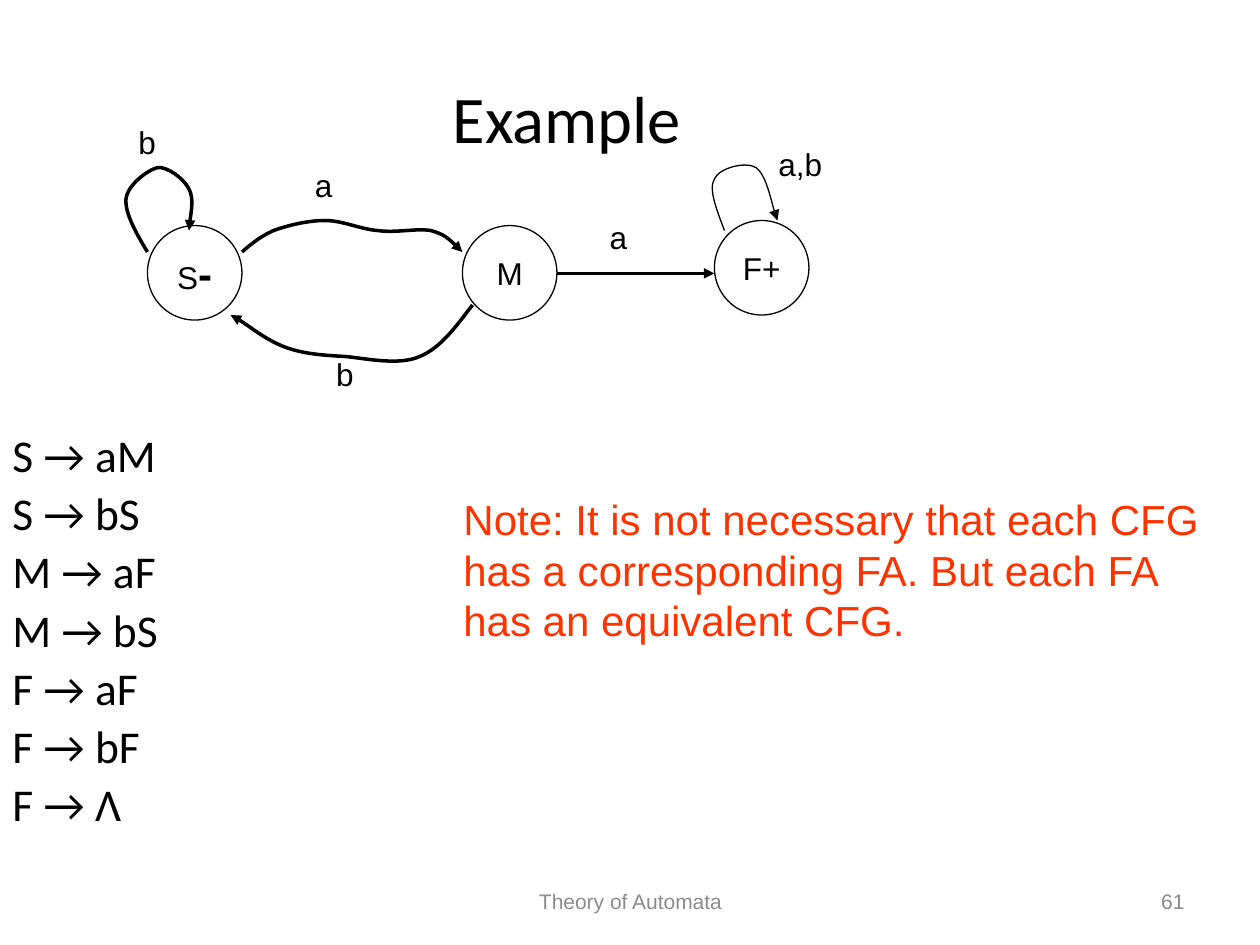
"""Build a slide showing a finite automaton and its equivalent grammar."""
from dataclasses import dataclass

from lxml import etree
from pptx import Presentation
from pptx.dml.color import RGBColor
from pptx.enum.shapes import MSO_CONNECTOR, MSO_SHAPE
from pptx.enum.text import MSO_ANCHOR, PP_ALIGN
from pptx.oxml.ns import qn
from pptx.util import Inches, Pt

LEFT, CENTER, RIGHT = PP_ALIGN.LEFT, PP_ALIGN.CENTER, PP_ALIGN.RIGHT
TOP, MIDDLE = MSO_ANCHOR.TOP, MSO_ANCHOR.MIDDLE
OVAL, STRAIGHT = MSO_SHAPE.OVAL, MSO_CONNECTOR.STRAIGHT

BLACK = RGBColor(0x00, 0x00, 0x00)
NOTE_RED = RGBColor(0xFF, 0x33, 0x00)
FOOTER_GRAY = RGBColor(0x8C, 0x8C, 0x8C)
NUMBER_GRAY = RGBColor(0x89, 0x89, 0x89)

STATE_SIZE = 0.75


@dataclass(frozen=True)
class State:
    name: str
    left: float
    top: float
    sign: str = ""


@dataclass(frozen=True)
class Transition:
    points: tuple[tuple[float, float], ...]
    weight: float = 2


@dataclass(frozen=True)
class Letter:
    text: str
    left: float
    top: float
    width: float = 0.34


STATES = (
    State("S", 1.17, 1.79, sign="-"),
    State("M", 3.67, 1.79),
    State("F+", 5.67, 1.75),
)

TRANSITIONS = (
    Transition((
        (1.92, 2), (1.99, 1.94), (2.06, 1.88), (2.17, 1.83),
        (2.28, 1.79), (2.44, 1.75), (2.58, 1.75),
        (2.72, 1.75), (2.86, 1.82), (3, 1.83),
        (3.14, 1.85), (3.31, 1.81), (3.42, 1.83),
        (3.53, 1.86), (3.6, 1.93), (3.67, 2),
    )),
    Transition((
        (3.75, 2.42), (3.62, 2.59), (3.5, 2.76), (3.33, 2.83),
        (3.17, 2.9), (2.93, 2.85), (2.75, 2.83),
        (2.57, 2.82), (2.4, 2.81), (2.25, 2.75),
        (2.1, 2.69), (1.92, 2.54), (1.83, 2.5),
    )),
    Transition((
        (1.17, 2), (1.08, 1.85), (0.99, 1.69), (1, 1.58),
        (1.01, 1.47), (1.17, 1.35), (1.25, 1.33),
        (1.33, 1.32), (1.46, 1.42), (1.5, 1.5),
        (1.54, 1.58), (1.5, 1.79), (1.5, 1.83),
    )),
    Transition((
        (5.75, 1.83), (5.69, 1.67), (5.62, 1.5), (5.67, 1.42),
        (5.71, 1.33), (5.92, 1.28), (6, 1.33),
        (6.08, 1.39), (6.14, 1.68), (6.17, 1.75),
    ), weight=0.75),
)

LETTERS = (
    Letter("a", 2.4, 1.27),
    Letter("b", 2.57, 2.77),
    Letter("b", 1, 0.93),
    Letter("a,b", 6.08, 1.1, width=0.55),
    Letter("a", 4.74, 1.68),
)

PRODUCTIONS = ("S → aM", "S → bS", "M → aF", "M → bS", "F → aF", "F → bF", "F → Λ")
NOTE = (
    "Note: It is not necessary that each CFG",
    "has a corresponding FA. But each FA",
    "has an equivalent CFG.",
)


def write_text(shape, *lines: str, size: float = 18, font: str = "Arial",
               color: RGBColor = BLACK, align=LEFT, anchor=TOP, wrap: bool = False,
               spacing: float = 1, before: float = 0, hanging: float = 0) -> None:
    """Fill a shape with one formatted paragraph for each line."""
    frame = shape.text_frame
    frame.word_wrap = wrap
    frame.vertical_anchor = anchor
    for index, line in enumerate(lines):
        paragraph = frame.add_paragraph() if index else frame.paragraphs[0]
        paragraph.alignment = align
        paragraph.line_spacing = spacing
        paragraph.space_before = Pt(before if index else 0)
        if hanging:
            properties = paragraph._p.get_or_add_pPr()
            properties.set("marL", str(Inches(hanging)))
            properties.set("indent", str(-Inches(hanging)))
        run = paragraph.add_run()
        run.text = line
        run.font.size = Pt(size)
        run.font.name = font
        run.font.color.rgb = color


def add_text(slide, left: float, top: float, width: float, height: float,
             *lines: str, **text_format) -> None:
    """Add a text box holding the given lines."""
    box = slide.shapes.add_textbox(Inches(left), Inches(top), Inches(width), Inches(height))
    write_text(box, *lines, **text_format)


def style_arrow(arrow, weight: float) -> None:
    """Give a line its colour, weight and closing arrowhead."""
    arrow.line.color.rgb = BLACK
    arrow.line.width = Pt(weight)
    etree.SubElement(arrow.line._get_or_add_ln(), qn("a:tailEnd"), type="triangle")


def add_state(slide, state: State) -> None:
    """Draw a state circle with its name and sign."""
    circle = slide.shapes.add_shape(
        OVAL, Inches(state.left), Inches(state.top), Inches(STATE_SIZE), Inches(STATE_SIZE))
    circle.shadow.inherit = False
    circle.fill.background()
    circle.line.color.rgb = BLACK
    circle.line.width = Pt(0.75)
    write_text(circle, state.name, align=CENTER, anchor=MIDDLE)
    if state.sign:
        sign = circle.text_frame.paragraphs[0].add_run()
        sign.text = state.sign
        sign.font.size = Pt(24)
        sign.font.bold = True
        sign.font.name = "Arial"
        sign.font.color.rgb = BLACK


def add_transition(slide, transition: Transition) -> None:
    """Draw a curved arrow through Bezier points given in threes."""
    start, *controls = [(Inches(x), Inches(y)) for x, y in transition.points]
    builder = slide.shapes.build_freeform(*start)
    builder.add_line_segments(controls, close=False)
    curve = builder.convert_to_shape()
    segments = list(curve._element.iter(qn("a:lnTo")))
    for first, second, third in zip(segments[::3], segments[1::3], segments[2::3]):
        first.tag = qn("a:cubicBezTo")
        for segment in (second, third):
            first.append(segment[0])
            segment.getparent().remove(segment)
    curve.shadow.inherit = False
    curve.fill.background()
    style_arrow(curve, transition.weight)


def add_straight_arrow(slide, left: float, right: float, y: float) -> None:
    """Draw a horizontal arrow."""
    arrow = slide.shapes.add_connector(
        STRAIGHT, Inches(left), Inches(y), Inches(right), Inches(y))
    style_arrow(arrow, 2)
    etree.SubElement(arrow._element.spPr, qn("a:effectLst"))


def main() -> None:
    """Build and save the slide."""
    presentation = Presentation()
    presentation.slide_width = Inches(10)
    presentation.slide_height = Inches(7.5)
    slide = presentation.slides.add_slide(presentation.slide_layouts[6])

    add_text(slide, 0, 0.3, 9, 1.25, "Example", size=38, font="Calibri",
             align=CENTER, anchor=MIDDLE, wrap=True)
    add_text(slide, 0, 3.39, 3.17, 3.06, *PRODUCTIONS, size=26, font="Calibri",
             wrap=True, spacing=0.9, before=5.2, hanging=0.38)
    for state in STATES:
        add_state(slide, state)
    for transition in TRANSITIONS:
        add_transition(slide, transition)
    add_straight_arrow(slide, 4.42, 5.67, 2.17)
    for letter in LETTERS:
        add_text(slide, letter.left, letter.top, letter.width, 0.4, letter.text)
    add_text(slide, 3.58, 3.87, 6.13, 1.3, *NOTE, size=24, color=NOTE_RED)
    add_text(slide, 3.42, 6.95, 3.17, 0.4, "Theory of Automata", size=12,
             color=FOOTER_GRAY, align=CENTER, anchor=MIDDLE, wrap=True)
    add_text(slide, 7.17, 6.95, 2.33, 0.4, "61", size=12,
             color=NUMBER_GRAY, align=RIGHT, anchor=MIDDLE, wrap=True)
    presentation.save("out.pptx")


if __name__ == "__main__":
    main()
